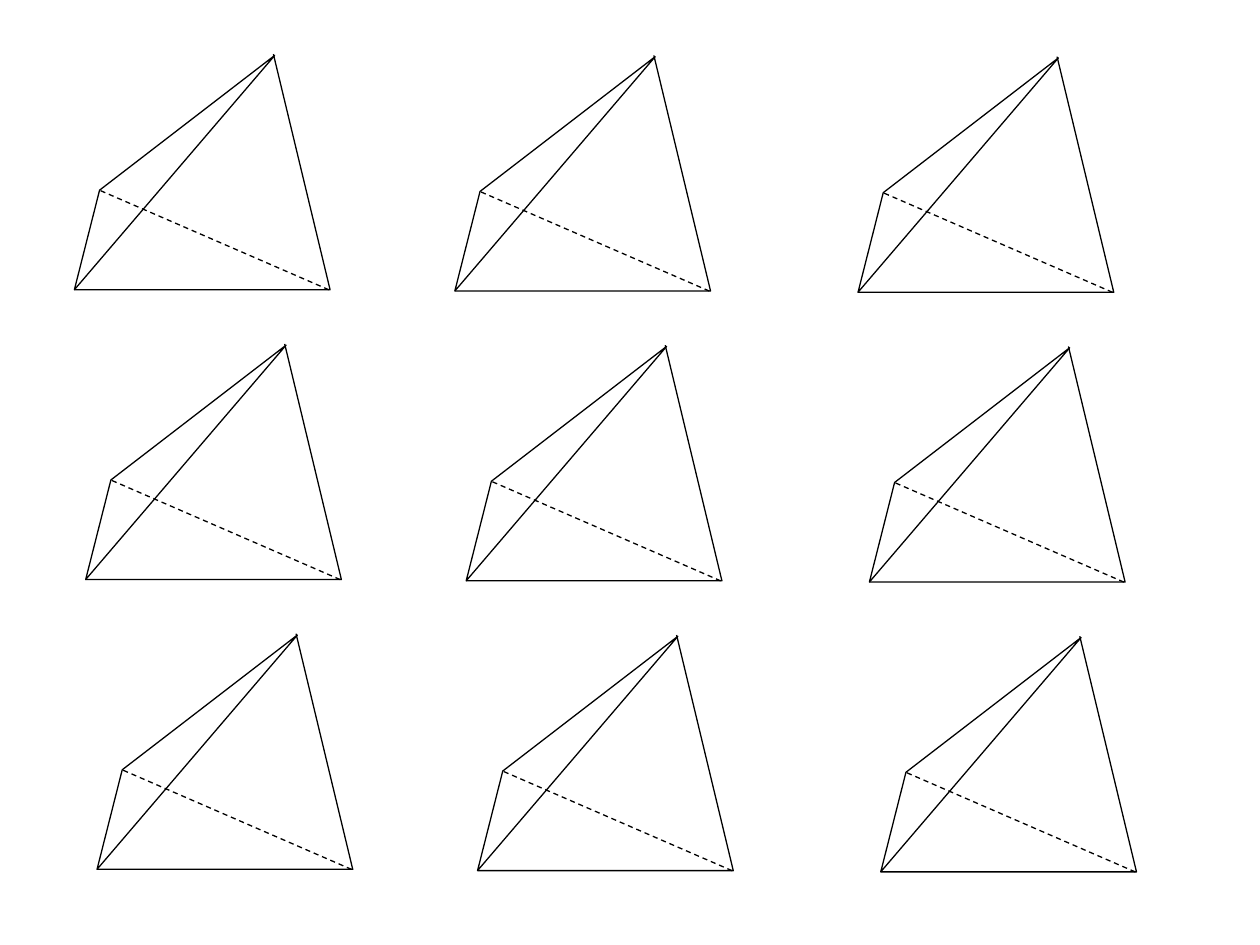
from pptx import Presentation
from pptx.dml.color import RGBColor
from pptx.enum.dml import MSO_LINE
from pptx.util import Pt

PX = 9144
BLACK = RGBColor(0, 0, 0)

COLUMN_LEFTS = (59, 361, 681)
FIRST_TOP = 43
ROW_STEP = 230
ROW_SHIFT = 9
COLUMN_DROP = 1

SIDE_FACE = ((0, 187), (159, 1), (20, 108))
FRONT_EDGES = ((0, 187), (203, 187), (158, 0))
HIDDEN_EDGE = ((202, 187), (20, 108))


def add_outline(group, left, top, points, closed=False, dash=None):
    start, *rest = points
    builder = group.shapes.build_freeform(*start, scale=PX)
    builder.add_line_segments(rest, close=closed)
    outline = builder.convert_to_shape(left * PX, top * PX)
    outline.shadow.inherit = False
    outline.fill.background()
    outline.line.color.rgb = BLACK
    outline.line.width = Pt(0.75)
    if dash:
        outline.line.dash_style = dash


def add_tetrahedron(slide, left, top):
    tetrahedron = slide.shapes.add_group_shape()
    add_outline(tetrahedron, left, top, SIDE_FACE, closed=True)
    add_outline(tetrahedron, left, top, FRONT_EDGES)
    add_outline(tetrahedron, left, top, HIDDEN_EDGE, dash=MSO_LINE.DASH)


def main():
    deck = Presentation()
    deck.slide_width = 1000 * PX
    deck.slide_height = 750 * PX
    slide = deck.slides.add_slide(deck.slide_layouts[6])
    for row in range(3):
        for column, left in enumerate(COLUMN_LEFTS):
            add_tetrahedron(
                slide,
                left + row * ROW_SHIFT,
                FIRST_TOP + row * ROW_STEP + column * COLUMN_DROP,
            )
    deck.save("out.pptx")


if __name__ == "__main__":
    main()
